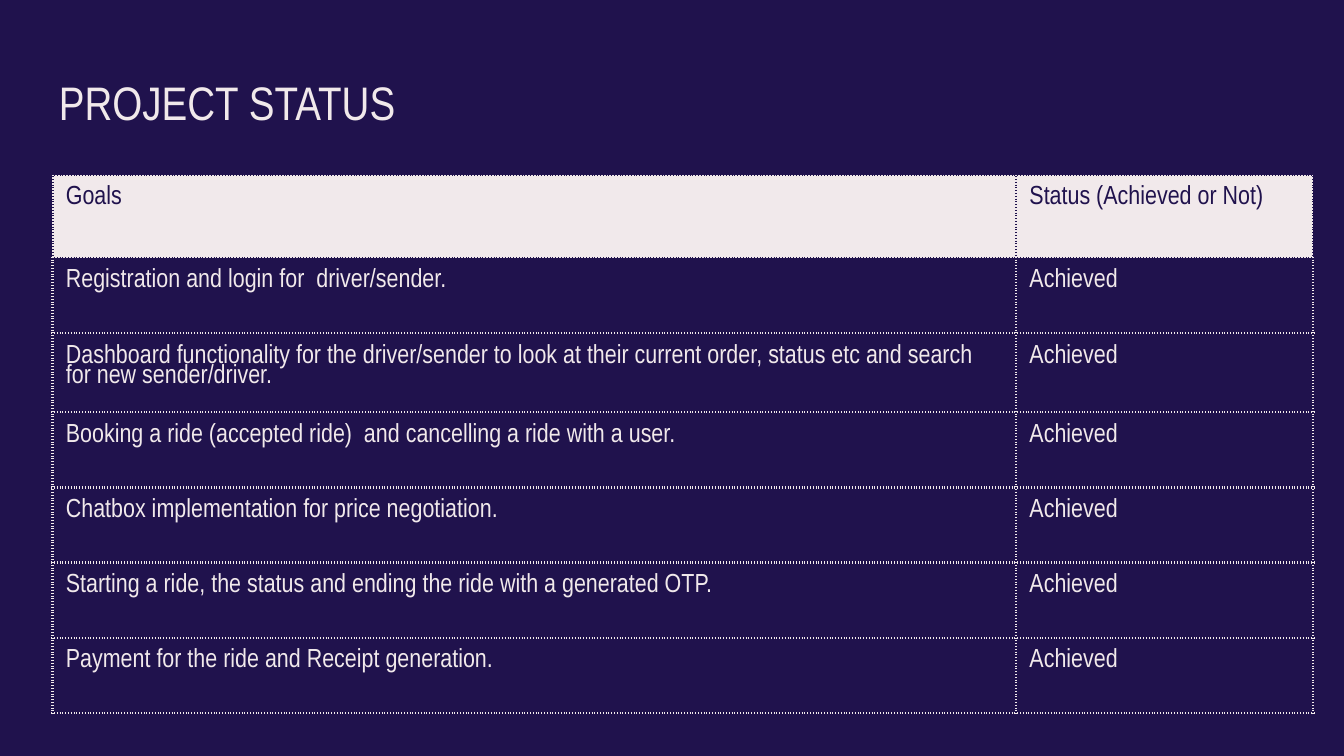
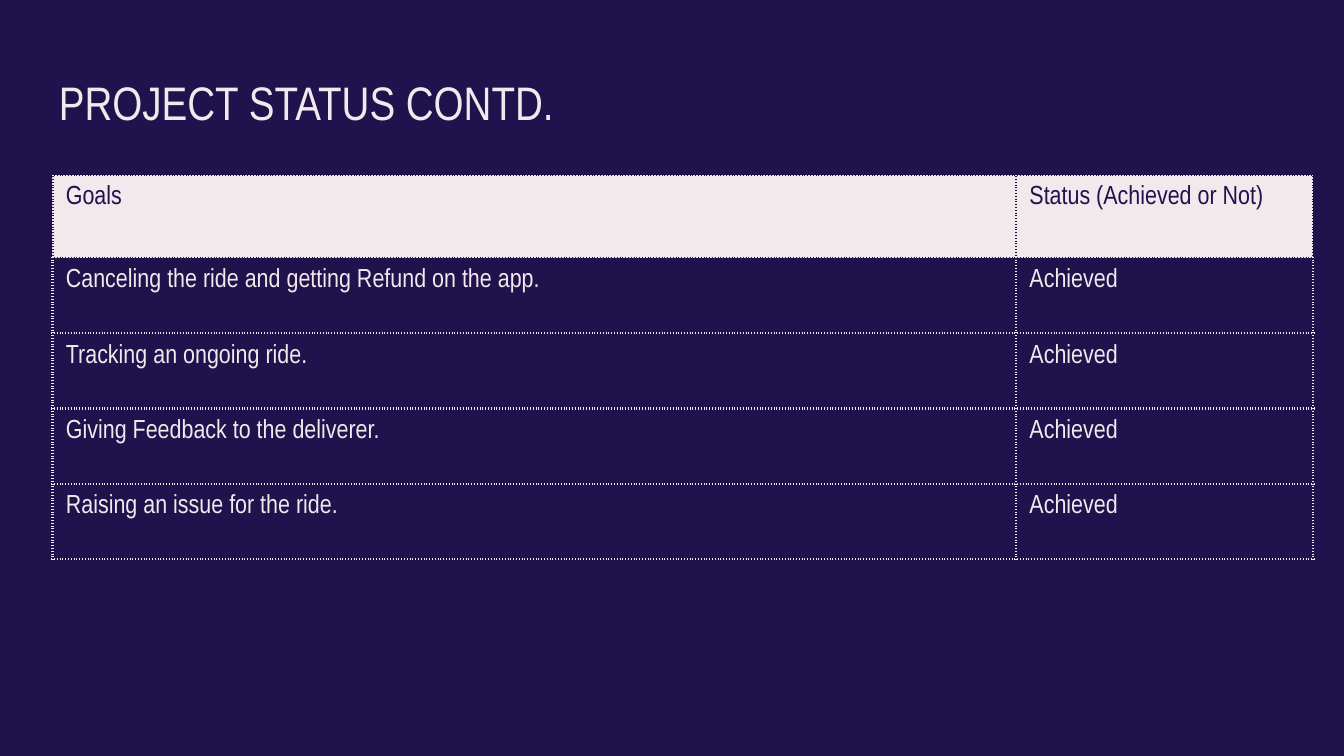
from lxml import etree
from pptx import Presentation
from pptx.dml.color import RGBColor
from pptx.enum.text import MSO_ANCHOR
from pptx.oxml.ns import qn
from pptx.util import Inches, Pt

NAVY = RGBColor(0x20, 0x12, 0x4D)
BLUSH = RGBColor(0xF1, 0xE9, 0xEB)
FONT = "Arial Narrow"
INSET = Inches(0.1)
COL_WIDTHS = (7.17, 2.21)
HEADER_H, ROW_H = 0.62, 0.56
HEADER = ("Goals", "Status (Achieved or Not)")

SLIDES = {
    "PROJECT STATUS": [
        "Registration and login for  driver/sender.",
        "Dashboard functionality for the driver/sender to look at their "
        "current order, status etc and search for new sender/driver.",
        "Booking a ride (accepted ride)  and cancelling a ride with a user.",
        "Chatbox implementation for price negotiation.",
        "Starting a ride, the status and ending the ride with a generated OTP.",
        "Payment for the ride and Receipt generation.",
    ],
    "PROJECT STATUS CONTD.": [
        "Canceling the ride and getting Refund on the app.",
        "Tracking an ongoing ride.",
        "Giving Feedback to the deliverer.",
        "Raising an issue for the ride.",
    ],
}


def write(tf, text, size, color):
    p = tf.paragraphs[0]
    r = p.add_run()
    r.text = text
    font = {"name": FONT, "size": Pt(size), "bold": False}
    for name, value in font.items():
        setattr(r.font, name, value)
    r.font.color.rgb = color
    return p


def add_borders(cell, colors):
    tc_pr = cell._tc.get_or_add_tcPr()
    for i, (side, color) in enumerate(colors.items()):
        ln = etree.Element(qn("a:ln" + side), w=str(Pt(1.5)))
        fill = etree.SubElement(ln, qn("a:solidFill"))
        etree.SubElement(fill, qn("a:srgbClr"), val=str(color))
        etree.SubElement(ln, qn("a:prstDash"), val="dot")
        tc_pr.insert(i, ln)


prs = Presentation()
prs.slide_width, prs.slide_height = Inches(10), Inches(5.625)

for title, goals in SLIDES.items():
    s = prs.slides.add_slide(prs.slide_layouts[6])
    s.background.fill.solid()
    s.background.fill.fore_color.rgb = NAVY

    # Title
    sp = s.shapes.add_textbox(Inches(0.34), Inches(0.44), Inches(9.32), Inches(0.63))
    tf = sp.text_frame
    frame = {"word_wrap": True, "vertical_anchor": MSO_ANCHOR.BOTTOM,
             "margin_left": INSET, "margin_right": INSET,
             "margin_top": INSET, "margin_bottom": INSET}
    for name, value in frame.items():
        setattr(tf, name, value)
    write(tf, title, 25.2, BLUSH)

    # Goals table
    rows = [HEADER] + [(goal, "Achieved") for goal in goals]
    table = s.shapes.add_table(
        len(rows), len(HEADER), Inches(0.39), Inches(1.3),
        Inches(sum(COL_WIDTHS)), Inches(HEADER_H + ROW_H * len(goals))).table
    table.first_row = table.horz_banding = False
    for col, width in zip(table.columns, COL_WIDTHS):
        col.width = Inches(width)

    for i, texts in enumerate(rows):
        is_header = i == 0
        table.rows[i].height = Inches(HEADER_H if is_header else ROW_H)
        edge = NAVY if is_header else BLUSH
        top = NAVY if i <= 1 else BLUSH
        for j, text in enumerate(texts):
            cell = table.cell(i, j)
            for side in ("left", "right", "top", "bottom"):
                setattr(cell, "margin_" + side, INSET)
            if is_header:
                cell.fill.solid()
                cell.fill.fore_color.rgb = BLUSH
            else:
                cell.fill.background()
            add_borders(cell, {"L": edge, "R": edge, "T": top, "B": edge})
            p = write(cell.text_frame, text, 14, NAVY if is_header else BLUSH)
            p.line_spacing = 0.83

prs.save("out.pptx")
